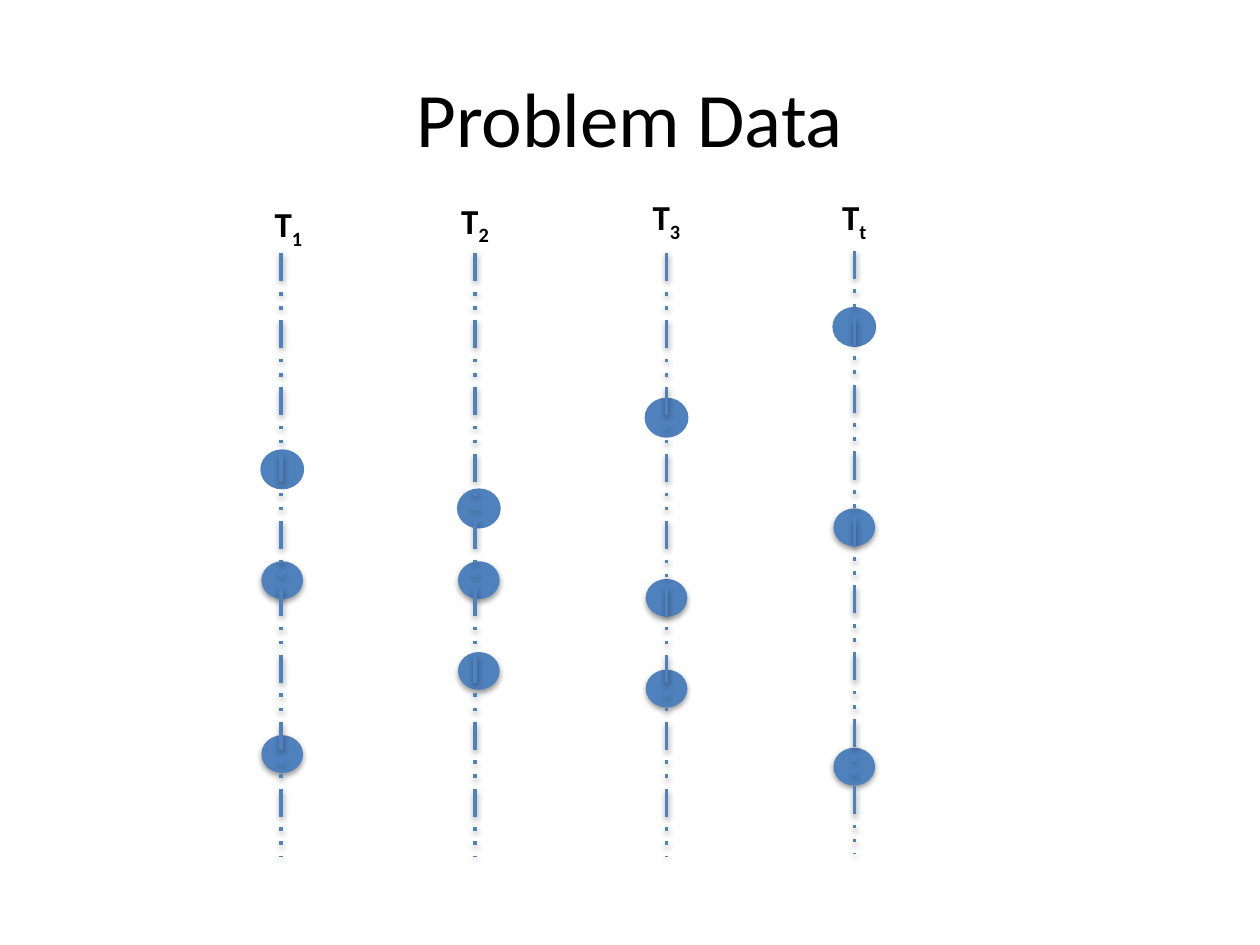
import pptx
import pptx.util
import pptx.dml.color
import pptx.enum.dml
import pptx.enum.shapes
import pptx.enum.text
import pptx.oxml

SCALE = 9144  # EMU per px, 100 px to the inch
BLUE = "4F81BD"
NS = "http://schemas.openxmlformats.org/drawingml/2006/main"
SHADE = (
    '<a:outerShdw blurRad="40000" dist="20000" dir="5400000" rotWithShape="0">'
    '<a:srgbClr val="000000"><a:alpha val="38000"/></a:srgbClr></a:outerShdw>'
)


def paint(color, code):
    color.rgb = pptx.dml.color.RGBColor.from_string(code)


def write(box, parts, form):
    """Write centred runs of (text, baseline) into a text box."""
    frame = slide.shapes.add_textbox(*[v * SCALE for v in box]).text_frame
    frame.word_wrap = True
    frame.vertical_anchor = pptx.enum.text.MSO_ANCHOR.MIDDLE
    para = frame.paragraphs[0]
    para.alignment = pptx.enum.text.PP_ALIGN.CENTER
    for text, base in parts:
        run = para.add_run()
        run.text = text
        for key, value in form.items():
            setattr(run.font, key, value)
        paint(run.font.color, "000000")
        if base:
            run._r.get_or_add_rPr().set("baseline", str(base))


deck = pptx.Presentation()
deck.slide_width, deck.slide_height = 1000 * SCALE, 750 * SCALE
slide = deck.slides.add_slide(deck.slide_layouts[6])

# Title
big = {"name": "Calibri", "size": pptx.util.Pt(44), "bold": False}
small = {"name": "Calibri", "size": pptx.util.Pt(20), "bold": True}
write((50, 30, 900, 125), [("Problem Data", 0)], big)

# Columns: mark, axis x, axis top, label left, label top, dot left, dot tops
cols = [
    ("1", 223, 201, 196, 158, 208, (358, 446, 584)),
    ("2", 377, 201, 344, 155, 364, (389, 446, 518)),
    ("3", 529, 201, 496, 152, 513, (317, 460, 532)),
    ("t", 678, 199, 645, 152, 662, (245, 404, 594)),
]

# Dots: the top one of each column is flat with a thick outline
drawn = []
for *_, left, tops in cols:
    for top in tops:
        flat = top == tops[0]
        dot = slide.shapes.add_shape(
            pptx.enum.shapes.MSO_SHAPE.OVAL,
            left * SCALE, top * SCALE, 32 * SCALE, 29 * SCALE)
        dot.fill.solid()
        paint(dot.fill.fore_color, BLUE)
        dot.line.width = pptx.util.Pt(2 if flat else 0.75)
        drawn.append((dot, "" if flat else SHADE))

# Dashed axes, in front of the dots
for _, x, top, *_ in cols:
    axis = slide.shapes.add_connector(
        pptx.enum.shapes.MSO_CONNECTOR.STRAIGHT,
        x * SCALE, top * SCALE, x * SCALE, (top + 479) * SCALE)
    axis.line.width = pptx.util.Pt(2)
    axis.line.dash_style = pptx.enum.dml.MSO_LINE.DASH_DOT_DOT
    drawn.append((axis, SHADE))

# Line colour and shadow for dots and axes
for shape, shade in drawn:
    paint(shape.line.color, BLUE)
    shape._element.spPr.append(pptx.oxml.parse_xml(
        f'<a:effectLst xmlns:a="{NS}">{shade}</a:effectLst>'))

# Labels
for mark, _, _, left, top, *_ in cols:
    write((left, top, 66, 44), [("T", 0), (mark, -25000)], small)

deck.save("out.pptx")
